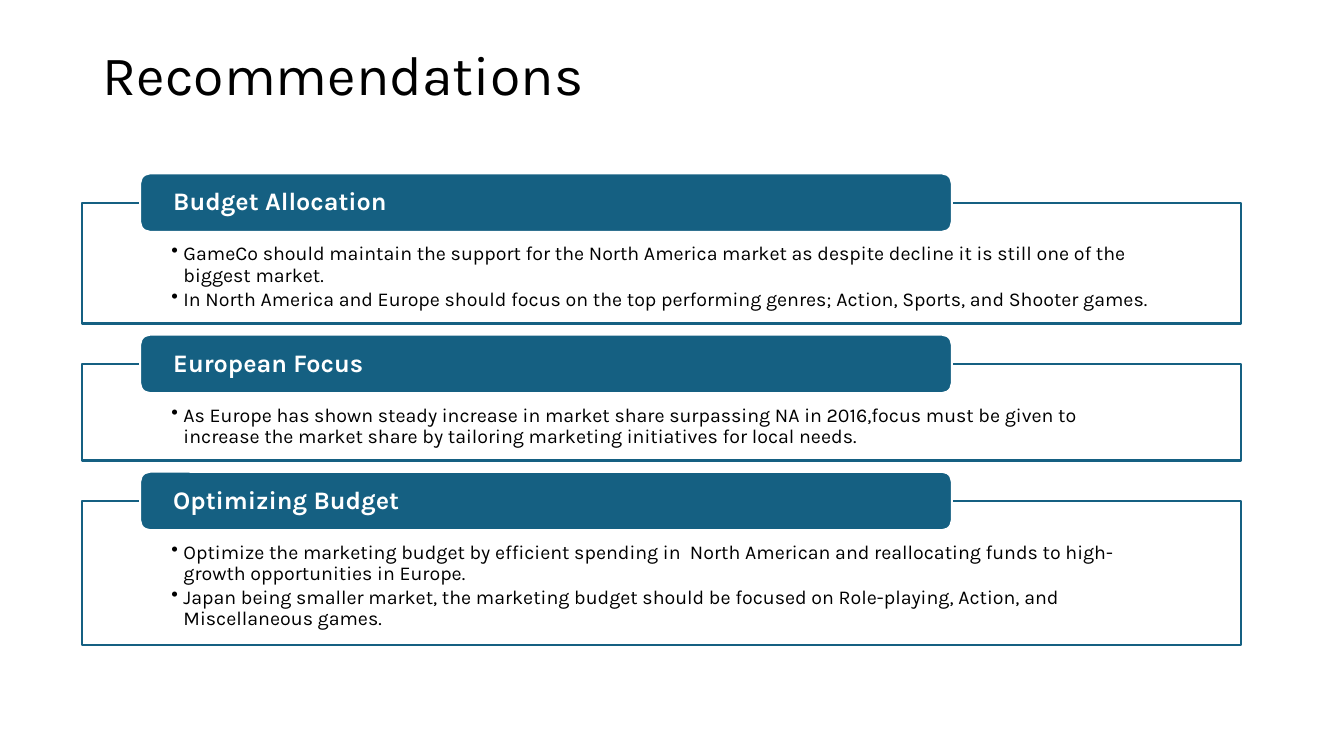
from dataclasses import dataclass

from lxml import etree
from pptx import Presentation
from pptx.dml.color import RGBColor
from pptx.enum.shapes import MSO_SHAPE
from pptx.enum.text import MSO_ANCHOR, MSO_AUTO_SIZE, PP_ALIGN
from pptx.oxml.ns import qn
from pptx.util import Inches, Pt

RECT, ROUND_RECT = MSO_SHAPE.RECTANGLE, MSO_SHAPE.ROUNDED_RECTANGLE
TOP, MIDDLE = MSO_ANCHOR.TOP, MSO_ANCHOR.MIDDLE
LEFT = PP_ALIGN.LEFT
NO_AUTOFIT = MSO_AUTO_SIZE.NONE

BLUE = RGBColor(0x15, 0x60, 0x82)
WHITE = RGBColor(0xFF, 0xFF, 0xFF)
BLACK = RGBColor(0x00, 0x00, 0x00)
FONT = "Karla"

BOX_LEFT, BOX_WIDTH = 0.81, 11.5
FIRST_TOP, GAP = 2.01, 0.4
TAB_LEFT, TAB_WIDTH, TAB_HEIGHT = 1.39, 8.05, 0.58
BULLET_INDENT = Inches(0.12)


@dataclass
class Recommendation:
    heading: str
    height: float
    points: list[str]


RECOMMENDATIONS = [
    Recommendation("Budget Allocation", 1.2, [
        "GameCo should maintain the support for the North America market as "
        "despite decline it is still one of the biggest market.",
        "In North America and Europe should focus on the top performing genres; "
        "Action, Sports, and Shooter games.",
    ]),
    Recommendation("European Focus", 0.96, [
        "As Europe has shown steady increase in market share surpassing NA in "
        "2016,focus must be given to increase the market share by tailoring "
        "marketing initiatives for local needs.",
    ]),
    Recommendation("Optimizing Budget", 1.43, [
        "Optimize the marketing budget by efficient spending in  North American "
        "and reallocating funds to high-growth opportunities in Europe.",
        "Japan being smaller market, the marketing budget should be focused on "
        "Role-playing, Action, and Miscellaneous games.",
    ]),
]


def place(sp, left: float, top: float, width: float, height: float) -> None:
    sp.left, sp.top = Inches(left), Inches(top)
    sp.width, sp.height = Inches(width), Inches(height)


def set_frame(tf, anchor, left: float, top: float, right: float, bottom: float) -> None:
    tf.word_wrap = True
    tf.auto_size = NO_AUTOFIT
    tf.vertical_anchor = anchor
    tf.margin_left, tf.margin_top = Inches(left), Inches(top)
    tf.margin_right, tf.margin_bottom = Inches(right), Inches(bottom)


def write(p, text: str, size: float, color: RGBColor, bold: bool = False) -> None:
    p.alignment = LEFT
    p.line_spacing = 0.9
    r = p.add_run()
    r.text = text
    r.font.name, r.font.size, r.font.bold = FONT, Pt(size), bold
    r.font.color.rgb = color


def add_bullet(p) -> None:
    p.level = 1
    p.space_after = Pt(2.1)
    pPr = p._p.get_or_add_pPr()
    pPr.set("marL", str(BULLET_INDENT))
    pPr.set("indent", str(-BULLET_INDENT))
    etree.SubElement(pPr, qn("a:buChar")).set("char", "•")


def add_panel(slide, kind, box: tuple, fill: RGBColor, line: RGBColor):
    sp = slide.shapes.add_shape(kind, *map(Inches, box))
    sp.shadow.inherit = False
    sp.fill.solid()
    sp.fill.fore_color.rgb = fill
    sp.line.color.rgb = line
    sp.line.width = Pt(1.5)
    return sp


def add_recommendation(slide, item: Recommendation, top: float) -> None:
    body = add_panel(slide, RECT, (BOX_LEFT, top, BOX_WIDTH, item.height), WHITE, BLUE)
    color = etree.SubElement(body.fill._xPr.find(qn("a:solidFill"))[0], qn("a:alpha"))
    color.set("val", "90000")
    tf = body.text_frame
    set_frame(tf, TOP, 0.89, 0.41, 0.89, 0.11)
    for i, point in enumerate(item.points):
        p = tf.add_paragraph() if i else tf.paragraphs[0]
        write(p, point, 14, BLACK)
        add_bullet(p)

    tab_box = (TAB_LEFT, top - TAB_HEIGHT / 2, TAB_WIDTH, TAB_HEIGHT)
    tab = add_panel(slide, ROUND_RECT, tab_box, BLUE, WHITE)
    set_frame(tab.text_frame, MIDDLE, 0.3, 0, 0.3, 0)
    write(tab.text_frame.paragraphs[0], item.heading, 18, WHITE, bold=True)


def main() -> None:
    prs = Presentation()
    prs.slide_width, prs.slide_height = Inches(13.33), Inches(7.5)
    slide = prs.slides.add_slide(prs.slide_layouts.get_by_name("Title Only"))

    title = slide.shapes.title
    place(title, 0.92, 0.4, 11.5, 0.73)
    set_frame(title.text_frame, MIDDLE, 0.1, 0.05, 0.1, 0.05)
    write(title.text_frame.paragraphs[0], "Recommendations", 39.6, BLACK)

    top = FIRST_TOP
    for item in RECOMMENDATIONS:
        add_recommendation(slide, item, top)
        top += item.height + GAP

    prs.save("out.pptx")


if __name__ == "__main__":
    main()
